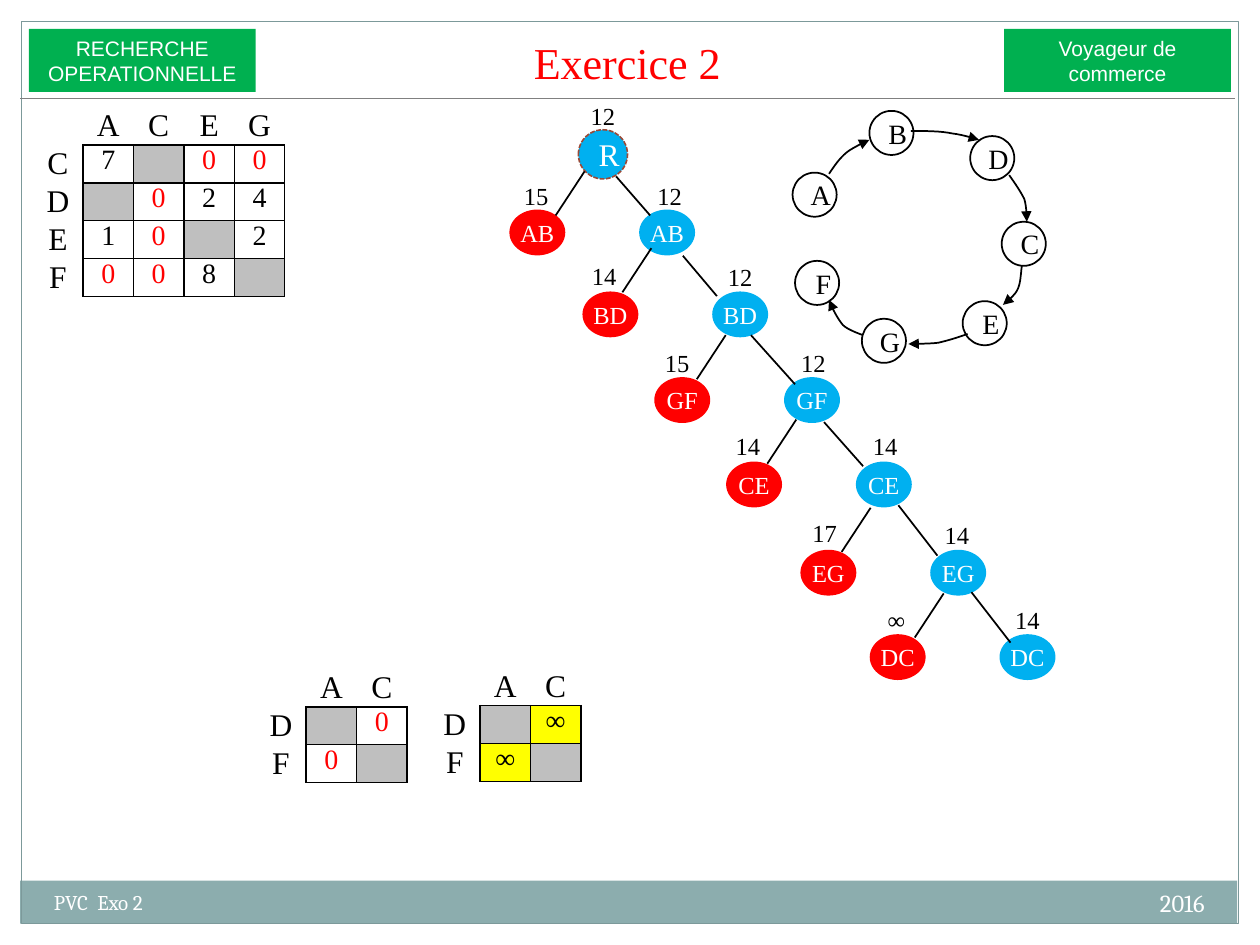
import dataclasses
import typing

import lxml.etree
import pptx
import pptx.dml.color
import pptx.enum.dml
import pptx.enum.shapes
import pptx.enum.text
import pptx.oxml.ns
import pptx.util

COLORS = {
    "black": "000000", "white": "FFFFFF", "red": "FF0000", "blue": "00B0F0",
    "green": "00B050", "yellow": "FFFF00", "forbidden": "BFBFBF", "rule": "808080",
    "footer": "8CADAE", "frame": "7C999A", "root": "9B4936",
}
SERIF = "Times New Roman"
ALIGN = pptx.enum.text.PP_ALIGN
ANCHOR = pptx.enum.text.MSO_ANCHOR
SHAPE = pptx.enum.shapes.MSO_SHAPE
Point = tuple[float, float]
Box = tuple[float, float, float, float]


@dataclasses.dataclass(frozen=True)
class Style:
    size: float
    color: str
    font: str = SERIF
    align: typing.Any = ALIGN.CENTER
    anchor: typing.Any = ANCHOR.MIDDLE
    insets: Box = (0.1, 0.05, 0.1, 0.05)
    wrap: bool = True


@dataclasses.dataclass(frozen=True)
class Branch:
    arc: str
    excluded: Point
    costs: tuple[str, str]
    cost_places: tuple[Point, Point]
    excluded_edge: Point
    included_edge: tuple[Point, Point]


@dataclasses.dataclass(frozen=True)
class Matrix:
    left: float
    top: float
    columns: str
    rows: str
    values: list[list[str]]


BANNER = Style(12, "white", font="Arial")
NODE = Style(14, "white", insets=(0, 0.04, 0, 0.04), wrap=False)
COST = Style(14, "black", anchor=ANCHOR.TOP, insets=(0.04, 0.04, 0.04, 0.04))
ROOT = Style(18, "white", insets=(0.1, 0, 0, 0), wrap=False)
CITY = Style(16, "black", insets=(0.1, 0, 0, 0), wrap=False)
HEADING = Style(18, "black", insets=(0.02, 0, 0.02, 0))
VALUE = Style(16, "black", anchor=ANCHOR.TOP, insets=(0.05, 0, 0.05, 0))

BRANCHES = [
    Branch("AB", (4.05, 1.67), ("15", "12"), ((4.1, 1.4), (5.16, 1.4)),
           (4.64, 1.36), ((4.89, 1.4), (5.16, 1.71))),
    Branch("BD", (4.63, 2.32), ("14", "12"), ((4.64, 2.03), (5.72, 2.04)),
           (5.17, 1.97), ((5.42, 2.03), (5.69, 2.35))),
    Branch("GF", (5.2, 3), ("15", "12"), ((5.22, 2.72), (6.3, 2.72)),
           (5.76, 2.66), ((5.96, 2.66), (6.31, 3.05))),
    Branch("CE", (5.77, 3.67), ("14", "14"), ((5.78, 3.38), (6.87, 3.38)),
           (6.32, 3.33), ((6.54, 3.35), (6.85, 3.7))),
    Branch("EG", (6.36, 4.37), ("17", "14"), ((6.39, 4.07), (7.44, 4.09)),
           (6.91, 4.03), ((7.13, 4.01), (7.44, 4.41))),
    Branch("DC", (6.91, 5.04), ("∞", "14"), ((6.96, 4.76), (8, 4.76)),
           (7.49, 4.71), ((7.71, 4.7), (8.02, 5.1))),
]
CITIES = {"A": (6.29, 1.37), "B": (6.9, 0.88), "D": (7.7, 1.08), "C": (7.95, 1.76),
          "E": (7.64, 2.39), "G": (6.84, 2.53), "F": (6.31, 2.07)}
TOUR = [
    [(6.58, 1.38), (6.62, 1.32), (6.66, 1.26), (6.72, 1.21), (6.77, 1.17), (6.9, 1.11), (6.9, 1.11)],
    [(7.23, 1.04), (7.35, 1.04), (7.47, 1.04), (7.56, 1.06), (7.65, 1.07), (7.77, 1.11), (7.77, 1.11)],
    [(8.01, 1.39), (8.06, 1.46), (8.1, 1.52), (8.13, 1.58), (8.15, 1.64), (8.15, 1.76), (8.15, 1.76)],
    [(8.11, 2.11), (8.1, 2.19), (8.1, 2.26), (8.07, 2.31), (8.04, 2.36), (7.96, 2.42), (7.96, 2.42)],
    [(7.68, 2.65), (7.6, 2.68), (7.53, 2.7), (7.45, 2.72), (7.37, 2.73), (7.21, 2.73), (7.21, 2.73)],
    [(6.85, 2.66), (6.85, 2.66), (6.73, 2.62), (6.69, 2.58), (6.65, 2.53), (6.61, 2.46), (6.58, 2.38)],
]
MATRICES = [
    Matrix(0.26, 0.85, "ACEG", "CDEF", [["7", "", "0", "0"], ["", "0", "2", "4"],
                                        ["1", "0", "", "2"], ["0", "0", "8", ""]]),
    Matrix(2.03, 5.31, "AC", "DF", [["", "0"], ["0", ""]]),
    Matrix(3.41, 5.3, "AC", "DF", [["", "∞"], ["∞", ""]]),
]


def rgb(name: str) -> pptx.dml.color.RGBColor:
    return pptx.dml.color.RGBColor.from_string(COLORS[name])


def inches(values: typing.Iterable[float]) -> list[int]:
    return [pptx.util.Inches(value) for value in values]


def write(frame: typing.Any, lines: list[str], style: Style) -> None:
    for index, line in enumerate(lines):
        paragraph = frame.paragraphs[0] if index == 0 else frame.add_paragraph()
        paragraph.alignment = style.align
        run = paragraph.add_run()
        run.text = line
        run.font.size = pptx.util.Pt(style.size)
        run.font.name = style.font
        run.font.color.rgb = rgb(style.color)


def fill_frame(frame: typing.Any, lines: list[str], style: Style) -> None:
    frame.word_wrap = style.wrap
    frame.vertical_anchor = style.anchor
    frame.margin_left, frame.margin_top, frame.margin_right, frame.margin_bottom = inches(style.insets)
    write(frame, lines, style)


def add_label(slide: typing.Any, box: Box, text: str, style: Style) -> None:
    fill_frame(slide.shapes.add_textbox(*inches(box)).text_frame, [text], style)


def add_block(slide: typing.Any, kind: typing.Any, box: Box, fill: str | None, line: str | None = None,
              width: float = 1, lines: list[str] | None = None, style: Style = NODE) -> typing.Any:
    block = slide.shapes.add_shape(kind, *inches(box))
    block.shadow.inherit = False
    if fill:
        block.fill.solid()
        block.fill.fore_color.rgb = rgb(fill)
    else:
        block.fill.background()
    if line:
        block.line.color.rgb = rgb(line)
        block.line.width = pptx.util.Pt(width)
    else:
        block.line.fill.background()
    if lines:
        fill_frame(block.text_frame, lines, style)
    return block


def add_edge(slide: typing.Any, start: Point, end: Point, color: str = "black", width: float = 1) -> None:
    edge = slide.shapes.add_connector(pptx.enum.shapes.MSO_CONNECTOR.STRAIGHT, *inches(start + end))
    edge.line.color.rgb = rgb(color)
    edge.line.width = pptx.util.Pt(width)
    lxml.etree.SubElement(edge.element.spPr, pptx.oxml.ns.qn("a:effectLst"))


def bezier(controls: list[Point], steps: int = 8) -> list[list[int]]:
    points = []
    for step in range(1, steps + 1):
        t = step / steps
        weights = ((1 - t) ** 3, 3 * t * (1 - t) ** 2, 3 * t * t * (1 - t), t ** 3)
        points.append(inches(sum(w * p[axis] for w, p in zip(weights, controls)) for axis in (0, 1)))
    return points


def add_tour_arrow(slide: typing.Any, controls: list[Point]) -> None:
    builder = slide.shapes.build_freeform(*inches(controls[0]))
    builder.add_line_segments(bezier(controls[:4]) + bezier(controls[3:]), close=False)
    arrow = builder.convert_to_shape()
    arrow.shadow.inherit = False
    arrow.fill.background()
    arrow.line.color.rgb = rgb("black")
    arrow.line.width = pptx.util.Pt(1)
    outline = arrow.element.spPr.find(pptx.oxml.ns.qn("a:ln"))
    lxml.etree.SubElement(outline, pptx.oxml.ns.qn("a:tailEnd"), type="triangle")


def set_border(cell: typing.Any, side: str, visible: bool) -> None:
    properties = cell._tc.get_or_add_tcPr()
    border = lxml.etree.SubElement(properties, pptx.oxml.ns.qn(f"a:ln{side}"), w=str(pptx.util.Pt(1)))
    paint = lxml.etree.SubElement(border, pptx.oxml.ns.qn("a:solidFill" if visible else "a:noFill"))
    if visible:
        lxml.etree.SubElement(paint, pptx.oxml.ns.qn("a:srgbClr"), val=COLORS["black"])


def add_matrix(slide: typing.Any, matrix: Matrix) -> None:
    size = len(matrix.rows)
    count = size + 2
    grid = [["", *matrix.columns, ""]]
    grid += [[name, *values, ""] for name, values in zip(matrix.rows, matrix.values)]
    grid.append([""] * count)
    table = slide.shapes.add_table(
        count, count, *inches((matrix.left, matrix.top, 0.4 * count, 0.3 * count))).table
    table.first_row = table.horz_banding = False
    for track in range(count):
        table.columns[track].width = pptx.util.Inches(0.4)
        table.rows[track].height = pptx.util.Inches(0.3)

    def inside(row: int, column: int) -> bool:
        return 1 <= row <= size and 1 <= column <= size

    for row, texts in enumerate(grid):
        for column, text in enumerate(texts):
            cell = table.cell(row, column)
            is_value = inside(row, column)
            style = VALUE if is_value else HEADING
            if text == "0":
                style = dataclasses.replace(style, color="red")
            cell.margin_left, cell.margin_top, cell.margin_right, cell.margin_bottom = inches(style.insets)
            cell.vertical_anchor = style.anchor
            write(cell.text_frame, [text], style)
            for side, down, across in (("L", 0, -1), ("R", 0, 1), ("T", -1, 0), ("B", 1, 0)):
                set_border(cell, side, is_value or inside(row + down, column + across))
            fill = {"": "forbidden", "∞": "yellow"}.get(text) if is_value else None
            if fill:
                cell.fill.solid()
                cell.fill.fore_color.rgb = rgb(fill)
            else:
                cell.fill.background()


def add_branch(slide: typing.Any, branch: Branch) -> None:
    left, top = branch.excluded
    for x, color in ((left, "red"), (left + 1.03, "blue")):
        add_block(slide, SHAPE.OVAL, (x, top, 0.43, 0.35), color, color, lines=[branch.arc])
    x, y = branch.excluded_edge
    add_edge(slide, (x, y), (x - 0.23, y + 0.35))
    add_edge(slide, *branch.included_edge)
    for cost, place in zip(branch.costs, branch.cost_places):
        add_label(slide, (*place, 0.31, 0.32), cost, COST)


def main() -> None:
    deck = pptx.Presentation()
    deck.slide_width, deck.slide_height = inches((10, 7.5))
    slide = deck.slides.add_slide(deck.slide_layouts[6])
    add_block(slide, SHAPE.RECTANGLE, (0.16, 6.99, 9.66, 0.34), "footer")
    add_block(slide, SHAPE.RECTANGLE, (0.17, 0.17, 9.66, 7.16), None, "frame", 0.75)
    add_label(slide, (6.33, 7, 3.33, 0.4), "2016", Style(14, "white", "Cambria", ALIGN.RIGHT, ANCHOR.TOP))
    add_label(slide, (0.33, 7.01, 3.92, 0.4), "PVC  Exo 2", Style(12, "white", "Cambria", ALIGN.LEFT, ANCHOR.TOP))
    add_label(slide, (2.75, 0.22, 4.46, 0.53), "Exercice 2", Style(25.2, "red", anchor=ANCHOR.BOTTOM))
    for left, lines in ((0.23, ["RECHERCHE", "OPERATIONNELLE"]), (7.97, ["Voyageur de commerce"])):
        add_block(slide, SHAPE.RECTANGLE, (left, 0.23, 1.8, 0.5), "green", lines=lines, style=BANNER)
    add_edge(slide, (0.16, 0.78), (9.8, 0.78), "rule", 0.75)
    for matrix in MATRICES:
        add_matrix(slide, matrix)
    root = add_block(slide, SHAPE.OVAL, (4.59, 1.03, 0.39, 0.39), "blue", "root", 0.9, ["R"], ROOT)
    root.line.dash_style = pptx.enum.dml.MSO_LINE.SQUARE_DOT
    add_label(slide, (4.63, 0.76, 0.31, 0.32), "12", COST)
    for branch in BRANCHES:
        add_branch(slide, branch)
    for city, place in CITIES.items():
        add_block(slide, SHAPE.OVAL, (*place, 0.35, 0.35), "white", "black", lines=[city], style=CITY)
    for controls in TOUR:
        add_tour_arrow(slide, controls)
    deck.save("out.pptx")


if __name__ == "__main__":
    main()
